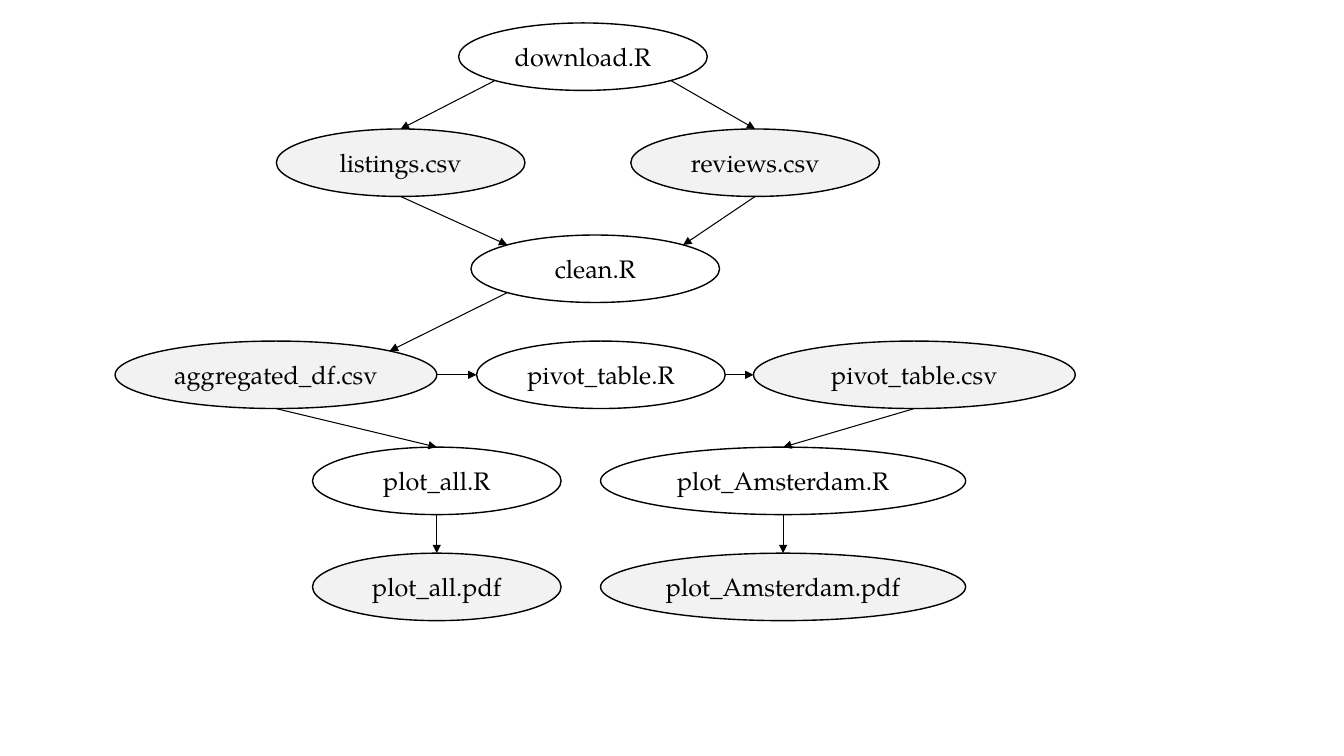
from dataclasses import dataclass
from math import cos, radians, sin

from lxml.etree import SubElement
from pptx import Presentation
from pptx.dml.color import RGBColor
from pptx.enum.shapes import MSO_CONNECTOR, MSO_SHAPE
from pptx.enum.text import MSO_ANCHOR, PP_ALIGN
from pptx.oxml.ns import qn
from pptx.shapes.autoshape import Shape
from pptx.shapes.connector import Connector
from pptx.slide import Slide
from pptx.text.text import TextFrame
from pptx.util import Pt


@dataclass(frozen=True)
class Theme:
    ink: RGBColor = RGBColor(0x00, 0x00, 0x00)
    shade: RGBColor = RGBColor(0xF2, 0xF2, 0xF2)
    font: str = "TeX Gyre Pagella"
    size: float = 18
    edge: float = 1
    thin: float = 0.75


@dataclass(frozen=True)
class Node:
    label: str
    row: int
    left: float
    width: float

    @property
    def shaded(self) -> bool:
        return not self.label.endswith(".R")


@dataclass(frozen=True)
class Link:
    start: str
    leave: int
    end: str
    enter: int


THEME = Theme()
FIRST, PITCH, HEIGHT = 16.4, 75.75, 48.2
SMALL, MID, LARGE = 177.6, 229.8, 260.8
TOP, TOP_LEFT, LEFT, LOW_LEFT, LOW, LOW_RIGHT, RIGHT, TOP_RIGHT = range(8)

NODES = [
    Node("download.R", 0, 327.6, SMALL),
    Node("listings.csv", 1, 197.4, SMALL),
    Node("reviews.csv", 1, 450.6, SMALL),
    Node("clean.R", 2, 336.4, SMALL),
    Node("aggregated_df.csv", 3, 82.2, MID),
    Node("pivot_table.R", 3, 340.4, SMALL),
    Node("pivot_table.csv", 3, 538.2, MID),
    Node("plot_all.R", 4, 223.2, SMALL),
    Node("plot_Amsterdam.R", 4, 429, LARGE),
    Node("plot_all.pdf", 5, 223.2, SMALL),
    Node("plot_Amsterdam.pdf", 5, 429, LARGE),
]

LINKS = [
    Link("download.R", LOW_LEFT, "listings.csv", TOP),
    Link("download.R", LOW_RIGHT, "reviews.csv", TOP),
    Link("listings.csv", LOW, "clean.R", TOP_LEFT),
    Link("reviews.csv", LOW, "clean.R", TOP_RIGHT),
    Link("clean.R", LOW_LEFT, "aggregated_df.csv", TOP_RIGHT),
    Link("aggregated_df.csv", RIGHT, "pivot_table.R", LEFT),
    Link("pivot_table.R", RIGHT, "pivot_table.csv", LEFT),
    Link("aggregated_df.csv", LOW, "plot_all.R", TOP),
    Link("pivot_table.csv", LOW, "plot_Amsterdam.R", TOP),
    Link("plot_all.R", LOW, "plot_all.pdf", TOP),
    Link("plot_Amsterdam.R", LOW, "plot_Amsterdam.pdf", TOP),
]


def write(frame: TextFrame, text: str, *, size: float = THEME.size,
          color: RGBColor = THEME.ink, align: PP_ALIGN = PP_ALIGN.CENTER) -> None:
    frame.word_wrap = False
    frame.vertical_anchor = MSO_ANCHOR.MIDDLE
    line = frame.paragraphs[0]
    line.alignment = align
    run = line.add_run()
    run.text = text
    run.font.name = THEME.font
    run.font.size = Pt(size)
    run.font.color.rgb = color


def draw_node(slide: Slide, node: Node) -> Shape:
    top = FIRST + node.row * PITCH
    oval = slide.shapes.add_shape(
        MSO_SHAPE.OVAL, Pt(node.left), Pt(top), Pt(node.width), Pt(HEIGHT))
    oval.shadow.inherit = False
    if node.shaded:
        oval.fill.solid()
        oval.fill.fore_color.rgb = THEME.shade
    else:
        oval.fill.background()
    oval.line.color.rgb = THEME.ink
    oval.line.width = Pt(THEME.edge)
    write(oval.text_frame, node.label)
    return oval


def rim(oval: Shape, site: int) -> tuple[int, int]:
    angle = radians(90 + 45 * site)
    x = oval.left + oval.width / 2 * (1 + cos(angle))
    y = oval.top + oval.height / 2 * (1 - sin(angle))
    return round(x), round(y)


def glue(arrow: Connector, tag: str, oval: Shape, site: int) -> None:
    props = arrow.element.find(".//" + qn("p:cNvCxnSpPr"))
    SubElement(props, qn(tag), id=str(oval.shape_id), idx=str(site))


def draw_link(slide: Slide, link: Link, ovals: dict[str, Shape]) -> None:
    start, end = ovals[link.start], ovals[link.end]
    arrow = slide.shapes.add_connector(
        MSO_CONNECTOR.STRAIGHT, *rim(start, link.leave), *rim(end, link.enter))
    glue(arrow, "a:stCxn", start, link.leave)
    glue(arrow, "a:endCxn", end, link.enter)
    arrow.line.color.rgb = THEME.ink
    arrow.line.width = Pt(THEME.thin)
    props = arrow.element.spPr
    SubElement(props.find(qn("a:ln")), qn("a:tailEnd"), type="triangle")
    SubElement(props, qn("a:effectLst"))


def main() -> None:
    deck = Presentation()
    deck.slide_width, deck.slide_height = Pt(960), Pt(540)
    slide = deck.slides.add_slide(deck.slide_layouts[6])
    ovals = {node.label: draw_node(slide, node) for node in NODES}
    for link in LINKS:
        draw_link(slide, link, ovals)
    deck.save("out.pptx")


if __name__ == "__main__":
    main()
